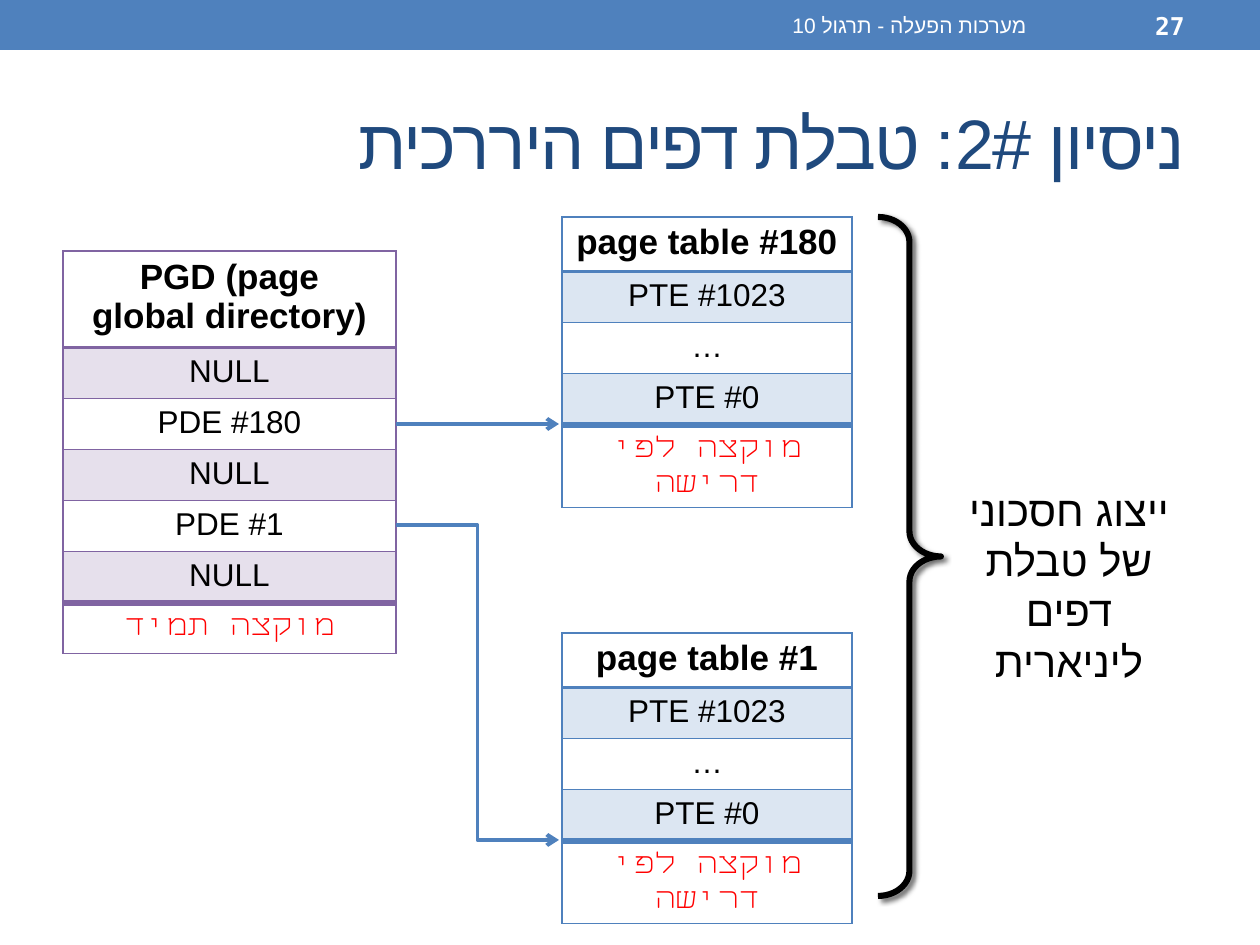
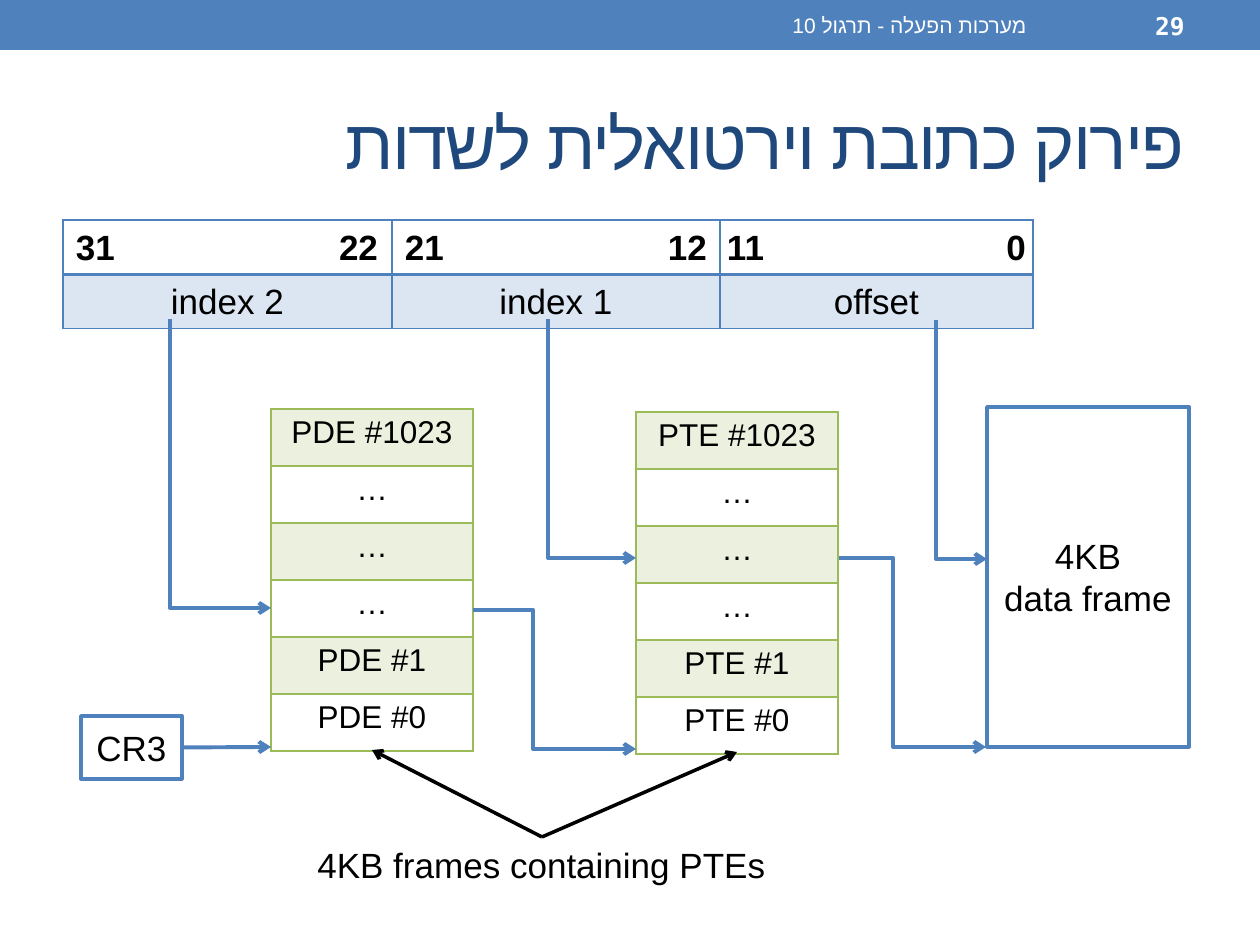
from lxml.etree import SubElement
from pptx import Presentation
from pptx.dml.color import RGBColor
from pptx.enum.shapes import MSO_CONNECTOR, MSO_SHAPE
from pptx.enum.text import MSO_ANCHOR, PP_ALIGN
from pptx.oxml.ns import qn
from pptx.util import Emu, Pt

PX = 914400 / 126
BLUE = RGBColor(0x4F, 0x81, 0xBD)
BLUE_TINT = RGBColor(0xDC, 0xE6, 0xF2)
PURPLE = RGBColor(0x80, 0x64, 0xA2)
PURPLE_TINT = RGBColor(0xE6, 0xE0, 0xEC)
GREEN = RGBColor(0x9B, 0xBB, 0x59)
GREEN_TINT = RGBColor(0xEB, 0xF1, 0xDE)
NAVY = RGBColor(0x1F, 0x49, 0x7D)
RED = RGBColor(0xFF, 0x00, 0x00)
BLACK = RGBColor(0x00, 0x00, 0x00)
WHITE = RGBColor(0xFF, 0xFF, 0xFF)
SANS = "Arial"
MONO = "DejaVu Sans Mono"

HEADING = {"name": SANS, "size": Pt(20), "bold": True}
BODY = {"name": SANS, "size": Pt(18), "bold": False}
LABEL = {"name": SANS, "size": Pt(20), "bold": False}
TITLE = {"name": MONO, "size": Pt(40), "bold": False}
NUMBER = {"name": MONO, "size": Pt(14), "bold": True}
FOOTER = {"name": MONO, "size": Pt(12), "bold": False}
CAPTION = {"name": SANS, "size": Pt(24), "bold": False}


def write_text(frame, text, font_format, color=BLACK, complex_font=SANS, alignment=PP_ALIGN.CENTER):
    frame.word_wrap = True
    paragraph = frame.paragraphs[0]
    paragraph.text = text
    paragraph.alignment = alignment
    for run in paragraph.runs:
        for name, value in font_format.items():
            setattr(run.font, name, value)
        run.font.color.rgb = color
        SubElement(run._r.get_or_add_rPr(), qn("a:cs"), typeface=complex_font)
    return paragraph


def add_grid(slide, left, top, widths, heights, rows, formats, rules, color, tint, shaded):
    box = [Emu(round(value * PX)) for value in (left, top, sum(widths), sum(heights))]
    table = slide.shapes.add_table(len(rows), len(widths), *box).table
    table.first_row = table.horz_banding = False
    for column, width in zip(table.columns, widths):
        column.width = Emu(round(width * PX))
    for index, (row, height) in enumerate(zip(table.rows, heights)):
        row.height = Emu(round(height * PX))
        for cell, text in zip(row.cells, rows[index]):
            text_color = RED if text.startswith("מוקצה") else BLACK
            paragraph = write_text(cell.text_frame, text, formats[index], text_color, MONO)
            if text_color == RED:
                paragraph.line_spacing = Pt(20)
            properties = cell._tc.get_or_add_tcPr()
            for side, points in zip("LRTB", (1, 1, rules[index], rules[index + 1])):
                border = SubElement(properties, qn(f"a:ln{side}"), w=str(Pt(points)))
                fill = SubElement(border, qn("a:solidFill"))
                SubElement(fill, qn("a:srgbClr"), val=str(color))
            if index in shaded:
                cell.fill.solid()
                cell.fill.fore_color.rgb = tint
            else:
                cell.fill.background()
    return table


presentation = Presentation()
presentation.slide_width = Emu(round(1260 * PX))
presentation.slide_height = Emu(round(945 * PX))

slides = []
for title, number in (
    ("ניסיון 2#: טבלת דפים היררכית", "27"),
    ("פירוק כתובת וירטואלית לשדות", "29"),
):
    slide = presentation.slides.add_slide(presentation.slide_layouts[6])
    slides.append(slide)
    band = slide.shapes.add_shape(MSO_SHAPE.RECTANGLE, 0, 0, presentation.slide_width, Emu(round(50 * PX)))
    band.shadow.inherit = False
    band.fill.solid()
    band.fill.fore_color.rgb = BLUE
    band.line.fill.background()
    for box, text, font_format, color, complex_font in (
        ((63, 73, 1134, 136), title, TITLE, NAVY, SANS),
        ((1050, 3, 147, 45), number, NUMBER, WHITE, MONO),
        ((472, 3, 567, 45), "מערכות הפעלה - תרגול 10", FOOTER, WHITE, SANS),
    ):
        text_box = slide.shapes.add_textbox(*[Emu(round(value * PX)) for value in box])
        text_box.text_frame.vertical_anchor = MSO_ANCHOR.MIDDLE
        paragraph = write_text(text_box.text_frame, text, font_format, color, complex_font, PP_ALIGN.RIGHT)
        paragraph._p.get_or_add_pPr().set("rtl", "1")
        if font_format is TITLE:
            paragraph.runs[0]._r.get_or_add_rPr().set("spc", "-100")

hierarchy, address = slides

directory = ["PGD (page\vglobal directory)", "NULL", "PDE #180", "NULL", "PDE #1", "NULL", "מוקצה תמיד"]
add_grid(
    hierarchy, 63, 251, [333], [91] + [51] * 6, [[text] for text in directory],
    [HEADING] + [BODY] * 5 + [HEADING], [1, 2, 1, 1, 1, 1, 4, 1], PURPLE, PURPLE_TINT, (1, 3, 5),
)
for page, top in ((180, 217), (1, 633)):
    entries = [f"page table #{page}", "PTE #1023", "…", "PTE #0", "מוקצה לפי דרישה"]
    add_grid(
        hierarchy, 562, top, [290], [51] * 4 + [83], [[text] for text in entries],
        [HEADING] + [BODY] * 3 + [HEADING], [1, 2, 1, 1, 4, 1], BLUE, BLUE_TINT, (1, 3),
    )

brace_box = [Emu(round(value * PX)) for value in (878, 217, 63, 679)]
brace = hierarchy.shapes.add_shape(MSO_SHAPE.RIGHT_BRACE, *brace_box)
brace.adjustments[0] = 0.4
brace.adjustments[1] = 0.5
brace.fill.background()
brace.line.color.rgb = BLACK
brace.line.width = Pt(3.5)
brace.shadow.inherit = False
effects = brace._element.spPr.find(qn("a:effectLst"))
shadow = SubElement(
    effects, qn("a:outerShdw"), blurRad=str(Pt(3)), dist=str(Pt(2)), dir="2700000", rotWithShape="0"
)
shadow_color = SubElement(shadow, qn("a:srgbClr"), val=str(BLACK))
SubElement(shadow_color, qn("a:alpha"), val="60000")

for slide, box, text, font_format, right_to_left in (
    (hierarchy, (941, 478, 256, 215), "ייצוג חסכוני\vשל טבלת דפים ליניארית", CAPTION, "1"),
    (address, (291, 837, 501, 64), "4KB frames containing PTEs", LABEL, "0"),
):
    text_box = slide.shapes.add_textbox(*[Emu(round(value * PX)) for value in box])
    paragraph = write_text(text_box.text_frame, text, font_format)
    paragraph._p.get_or_add_pPr().set("rtl", right_to_left)

boxes = {}
for text, box in (("4KB\vdata frame", (987, 407, 202, 340)), ("CR3", (81, 716, 101, 63))):
    shape = address.shapes.add_shape(MSO_SHAPE.RECTANGLE, *[Emu(round(value * PX)) for value in box])
    shape.shadow.inherit = False
    shape.fill.solid()
    shape.fill.fore_color.rgb = WHITE
    shape.line.color.rgb = BLUE
    shape.line.width = Pt(2)
    shape.text_frame.vertical_anchor = MSO_ANCHOR.MIDDLE
    write_text(shape.text_frame, text, LABEL)
    boxes[text] = shape

bits = add_grid(
    address, 63, 220, [329, 328, 313], [51, 50],
    [["31\t22", "21\t12", "11\t0"], ["index 2", "index 1", "offset"]],
    [HEADING, LABEL], [1, 2, 1], BLUE, BLUE_TINT, (1,),
)
for row in bits.rows:
    for cell in row.cells:
        for side, margin in (("left", 6), ("right", 6), ("top", 3), ("bottom", 3)):
            setattr(cell, f"margin_{side}", Emu(round(margin * PX)))
        cell.text_frame.paragraphs[0].line_spacing = 1.15
for cell, margin, tab in zip(bits.rows[0].cells, (13, 13, 7), (302, 302, 299)):
    cell.margin_left = Emu(round(margin * PX))
    paragraph = cell.text_frame.paragraphs[0]
    paragraph.alignment = PP_ALIGN.LEFT
    tabs = SubElement(paragraph._p.get_or_add_pPr(), qn("a:tabLst"))
    SubElement(tabs, qn("a:tab"), pos=str(round(tab * PX)), algn="r")

for kind, left, top in (("PDE", 271, 409), ("PTE", 636, 412)):
    entries = [f"{kind} #1023", "…", "…", "…", f"{kind} #1", f"{kind} #0"]
    add_grid(
        address, left, top, [202], [57] * 6, [[text] for text in entries],
        [BODY] * 6, [1] * 7, GREEN, GREEN_TINT, (0, 2, 4),
    )

for slide, start, end, route, color in (
    (hierarchy, (396, 424), (559, 424), "straight", BLUE),
    (hierarchy, (396, 525), (559, 840), 0.5, BLUE),
    (address, (170, 319), (271, 608), "down", BLUE),
    (address, (548, 319), (636, 558), "down", BLUE),
    (address, (936, 320), (987, 559), "down", BLUE),
    (address, (473, 610), (636, 749), 0.37, BLUE),
    (address, (839, 558), (986, 747), 0.37, BLUE),
    (address, (182, 747), (271, 747), "straight", BLUE),
    (address, (542, 837), (372, 750), "straight", BLACK),
    (address, (542, 837), (737, 752), "straight", BLACK),
):
    ends = [*start, *end]
    if route == "down":
        middle_x, middle_y = (start[0] + end[0]) / 2, (start[1] + end[1]) / 2
        half_x, half_y = (end[0] - start[0]) / 2, (end[1] - start[1]) / 2
        ends = [middle_x - half_y, middle_y - half_x, middle_x + half_y, middle_y + half_x]
    connector_type = MSO_CONNECTOR.STRAIGHT if route == "straight" else MSO_CONNECTOR.ELBOW
    connector = slide.shapes.add_connector(connector_type, *[Emu(round(value * PX)) for value in ends])
    properties = connector._element.spPr
    if route != "straight":
        bend = 1 if route == "down" else route
        adjustments = properties.find(qn("a:prstGeom")).get_or_add_avLst()
        SubElement(adjustments, qn("a:gd"), name="adj1", fmla=f"val {round(bend * 100000)}")
    if route == "down":
        properties.find(qn("a:xfrm")).set("rot", "16200000")
        properties.find(qn("a:xfrm")).set("flipH", "1")
    connector.line.color.rgb = color
    connector.line.width = Pt(2.25) if color == BLUE else Pt(2)
    SubElement(connector.line._get_or_add_ln(), qn("a:tailEnd"), type="arrow")
    SubElement(properties, qn("a:effectLst"))
    if start == (182, 747):
        connector.begin_connect(boxes["CR3"], 3)

presentation.save("out.pptx")
